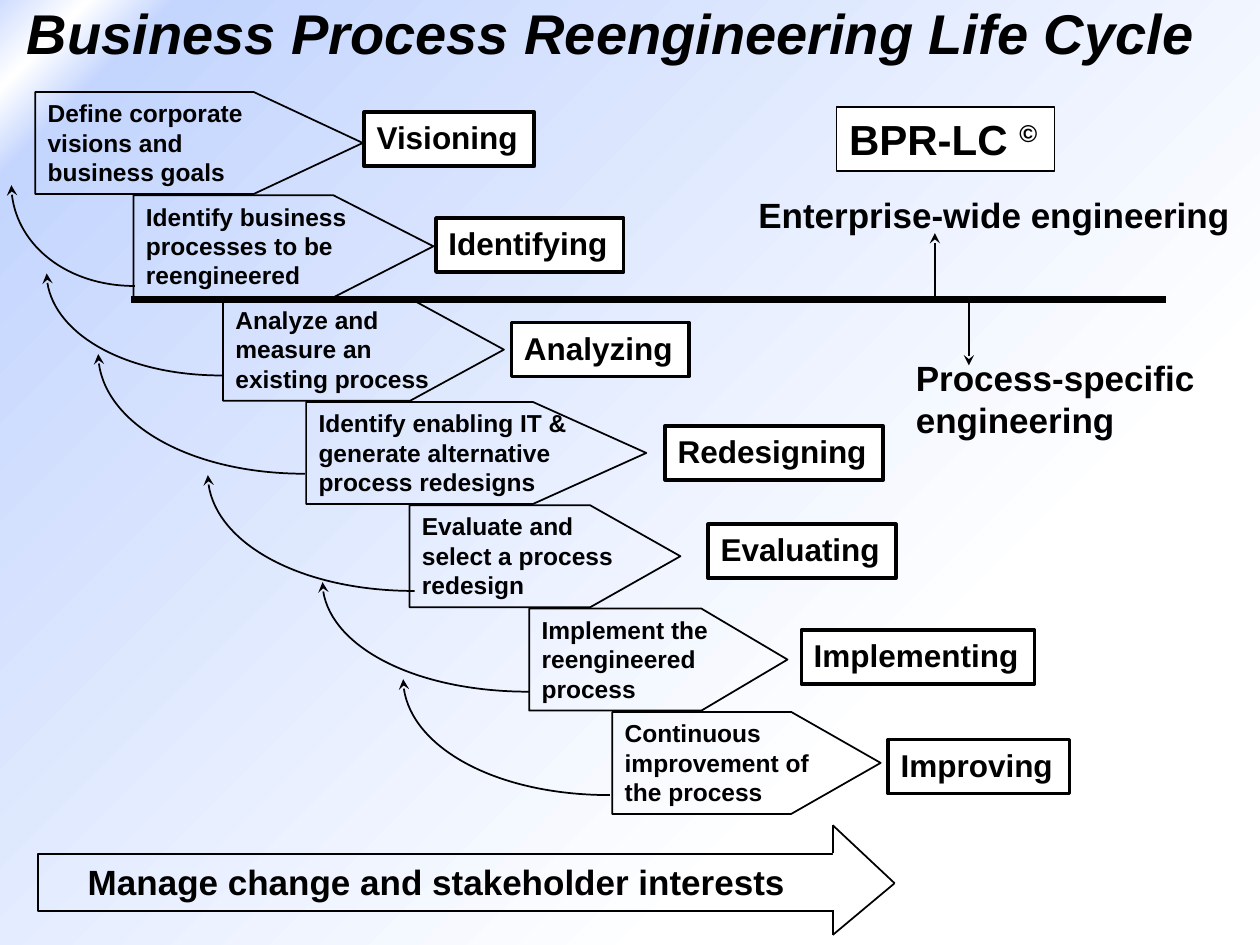
import lxml.etree
import pptx
import pptx.dml.color
import pptx.enum.shapes
import pptx.enum.text
import pptx.oxml
import pptx.oxml.ns
import pptx.util

Inches = pptx.util.Inches
SHAPES = pptx.enum.shapes.MSO_SHAPE
ALIGN = pptx.enum.text.PP_ALIGN
ANCHOR = pptx.enum.text.MSO_ANCHOR
qn = pptx.oxml.ns.qn

THEME = {
    "font": "Arial", "ink": "000000", "paper": "FFFFFF",
    "sky": [(27, "FFFFFF"), (92, "C4D5FE"), (96, "FFFFFF"), (100, "D0DDFE")],
    "title": 32, "badge": 24, "scope": 20, "label": 18, "step": 14,
    "thin": 1, "frame": 2, "divider": 4,
}

TITLE = "Business Process Reengineering Life Cycle"
# step text, step left, step width, phase, phase left, phase top, phase width
STEPS = [
    ("Define corporate visions and business goals", 0.28, 2.6, "Visioning", 2.89, 0.89, 1.35),
    ("Identify business processes to be reengineered", 1.06, 2.38, "Identifying", 3.46, 1.73, 1.49),
    ("Analyze and measure an existing process", 1.77, 2.23, "Analyzing", 4.06, 2.56, 1.41),
    ("Identify enabling IT & generate alternative process redesigns", 2.43, 2.7,
     "Redesigning", 5.28, 3.38, 1.73),
    ("Evaluate and select a process redesign", 3.25, 2.15, "Evaluating", 5.62, 4.16, 1.49),
    ("Implement the reengineered process", 4.2, 2.05, "Implementing", 6.36, 5, 1.85),
    ("Continuous improvement of the process", 4.86, 2.13, "Improving", 7.05, 5.87, 1.44),
]
STEP_TOP, STEP_PITCH, STEP_HEIGHT, PHASE_HEIGHT = 0.73, 0.82, 0.81, 0.43
# feedback arcs: left, top, width, height
FEEDBACK = [
    (3.2, 5.39, 1.64, 0.92), (2.56, 4.62, 1.64, 0.87), (1.65, 3.77, 1.64, 0.92),
    (0.78, 2.81, 1.64, 0.95), (0.37, 2.17, 1.39, 0.81), (0.09, 1.47, 0.98, 0.8),
]
FOUNDATION = "Manage change and stakeholder interests"
FOUNDATION_HEAD = [(6.61, 6.77), (6.61, 6.55), (7.1, 7.01), (6.61, 7.42), (6.61, 7.22)]
BADGE, BADGE_MARK = "BPR-LC ", "©"
SCOPES = [  # text, box, arrow start, arrow end
    ("Enterprise-wide engineering", (5.92, 1.49, 3.94, 0.43), (7.42, 2.35), (7.42, 1.85)),
    ("Process-specific\nengineering", (7.17, 2.78, 2.49, 0.77), (7.69, 2.4), (7.69, 2.9)),
]
DIVIDER = ((1.04, 2.38), (9.25, 2.38))


def color(name):
    return pptx.dml.color.RGBColor.from_string(THEME[name])


def draw_line(line, weight, arrow=False):
    line.color.rgb = color("ink")
    line.width = pptx.util.Pt(THEME[weight])
    if arrow:
        lxml.etree.SubElement(line._get_or_add_ln(), qn("a:tailEnd"), type="stealth")


def write(holder, text, size, align=ALIGN.LEFT, wrap=True, anchor=ANCHOR.TOP):
    frame = holder.text_frame
    frame.text = text
    frame.word_wrap = wrap
    frame.vertical_anchor = anchor
    for paragraph in frame.paragraphs:
        paragraph.alignment = align
        for run in paragraph.runs:
            style(run, size)
    return frame


def style(run, size):
    run.font.name = THEME["font"]
    run.font.size = pptx.util.Pt(THEME[size])
    run.font.bold = True
    run.font.color.rgb = color("ink")


def add_box(slide, kind, box, fill=None, weight=None):
    shape = slide.shapes.add_shape(kind, *map(Inches, box))
    shape.shadow.inherit = False
    if fill:
        shape.fill.solid()
        shape.fill.fore_color.rgb = color(fill)
    else:
        shape.fill.background()
    if weight:
        draw_line(shape.line, weight)
    else:
        shape.line.fill.background()
    return shape


def add_text(slide, box):
    return slide.shapes.add_textbox(*map(Inches, box))


def add_line(slide, start, end, weight="thin", arrow=False):
    connector = slide.shapes.add_connector(
        pptx.enum.shapes.MSO_CONNECTOR.STRAIGHT, *map(Inches, start + end))
    draw_line(connector.line, weight, arrow)
    lxml.etree.SubElement(connector._element.spPr, qn("a:effectLst"))


def add_feedback(slide, left, top, width, height):
    """Quarter ellipse from bottom right up to top left."""
    builder = slide.shapes.build_freeform(Inches(left + width), Inches(top + height))
    builder.add_line_segments([(Inches(left), Inches(top))], close=False)
    arc = builder.convert_to_shape()
    arc.shadow.inherit = False
    arc.fill.background()
    draw_line(arc.line, "thin", arrow=True)
    segment = arc._element.find(".//" + qn("a:lnTo"))
    segment.tag = qn("a:cubicBezTo")
    controls = [(0.45 * width, height), (0, 0.55 * height)]
    for index, (x, y) in enumerate(controls):
        point = pptx.oxml.parse_xml(
            f'<a:pt {pptx.oxml.ns.nsdecls("a")} x="{Inches(x)}" y="{Inches(y)}"/>')
        segment.insert(index, point)


def paint_background(slide):
    slide.background.fill.gradient()
    gradient = slide.element.find(".//" + qn("a:gradFill"))
    for child in list(gradient):
        gradient.remove(child)
    stops = lxml.etree.SubElement(gradient, qn("a:gsLst"))
    for position, shade in THEME["sky"]:
        stop = lxml.etree.SubElement(stops, qn("a:gs"), pos=str(position * 1000))
        lxml.etree.SubElement(stop, qn("a:srgbClr"), val=shade)
    radial = lxml.etree.SubElement(gradient, qn("a:path"), {"path": "circle"})
    lxml.etree.SubElement(radial, qn("a:fillToRect"), l="100000", t="100000")


def main():
    deck = pptx.Presentation()
    deck.slide_width, deck.slide_height = Inches(10), Inches(7.5)
    slide = deck.slides.add_slide(deck.slide_layouts[6])
    paint_background(slide)

    # Title
    heading = write(add_text(slide, (0, 0, 9.7, 0.58)), TITLE, "title",
                    ALIGN.CENTER, anchor=ANCHOR.MIDDLE).paragraphs[0]
    heading.line_spacing = 0.9
    heading.runs[0].font.italic = True

    # Staircase of steps with their phase names
    for index, (step, left, width, phase, phase_left, phase_top, phase_width) in enumerate(STEPS):
        top = STEP_TOP + index * STEP_PITCH
        plate = add_box(slide, SHAPES.PENTAGON, (left, top, width, STEP_HEIGHT), weight="thin")
        plate.adjustments[0] = width / 3 / STEP_HEIGHT  # the point takes a third
        write(plate, step, "step")
        tag = add_box(slide, SHAPES.RECTANGLE,
                      (phase_left, phase_top, phase_width, PHASE_HEIGHT), "paper", "frame")
        write(tag, phase, "label", wrap=False)

    # Foundation arrow
    foundation = add_box(slide, SHAPES.RECTANGLE, (0.3, 6.78, 6.33, 0.45), weight="thin")
    write(foundation, FOUNDATION, "scope", ALIGN.CENTER)
    add_box(slide, SHAPES.RECTANGLE, (6.61, 6.71, 0.14, 0.58), "paper")
    for start, end in zip(FOUNDATION_HEAD, FOUNDATION_HEAD[1:]):
        add_line(slide, start, end)

    # Feedback arcs
    for arc in FEEDBACK:
        add_feedback(slide, *arc)

    # Badge
    badge = add_box(slide, SHAPES.RECTANGLE, (6.64, 0.85, 1.73, 0.51), "paper", "thin")
    mark = write(badge, BADGE, "badge", wrap=False).paragraphs[0].add_run()
    mark.text = BADGE_MARK
    style(mark, "badge")
    mark.font._element.set("baseline", "30000")

    # Divider between the two scopes
    add_line(slide, *DIVIDER, weight="divider")
    for scope, box, start, end in SCOPES:
        add_line(slide, start, end, arrow=True)
        write(add_text(slide, box), scope, "scope")

    deck.save("out.pptx")


if __name__ == "__main__":
    main()
